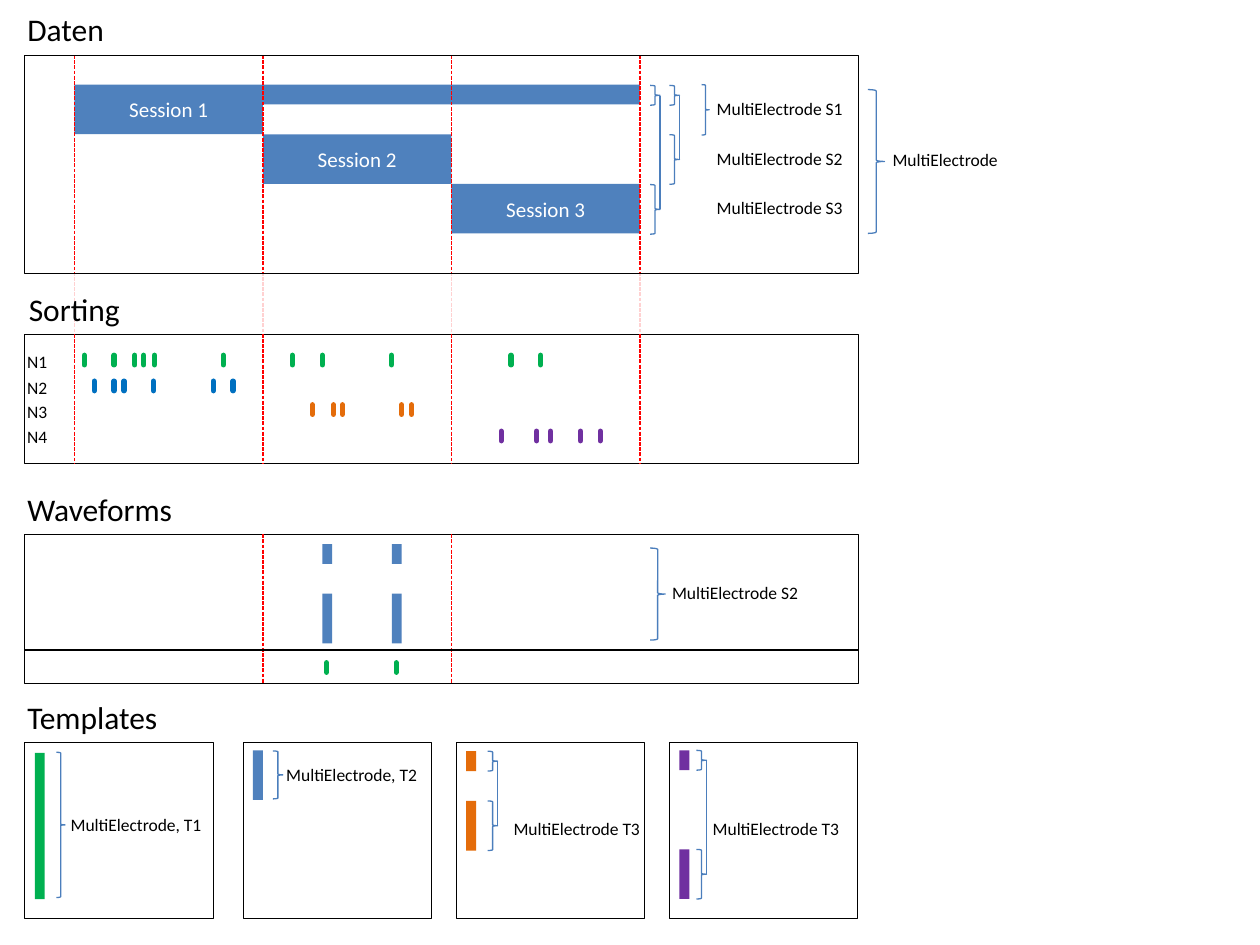
from lxml import etree
from pptx import Presentation
from pptx.dml.color import RGBColor
from pptx.enum.dml import MSO_LINE
from pptx.enum.shapes import MSO_CONNECTOR, MSO_SHAPE
from pptx.enum.text import MSO_ANCHOR, MSO_AUTO_SIZE, PP_ALIGN
from pptx.oxml.ns import qn
from pptx.util import Pt

RECT, BRACE = MSO_SHAPE.RECTANGLE, MSO_SHAPE.RIGHT_BRACE
STRAIGHT = MSO_CONNECTOR.STRAIGHT
DASH = MSO_LINE.SQUARE_DOT
FONT = "Calibri"

BLACK = RGBColor(0x00, 0x00, 0x00)
WHITE = RGBColor(0xFF, 0xFF, 0xFF)
RED = RGBColor(0xFF, 0x00, 0x00)
STEEL = RGBColor(0x4F, 0x81, 0xBD)
BRACE_BLUE = RGBColor(0x4B, 0x7E, 0xBC)
GREEN = RGBColor(0x00, 0xB0, 0x50)
BLUE = RGBColor(0x00, 0x70, 0xC0)
ORANGE = RGBColor(0xE4, 0x6C, 0x0A)
PURPLE = RGBColor(0x70, 0x30, 0xA0)

# Shared grid, in points
LEFT, WIDTH = 14.17, 476.2
SESSION_X, SESSION_W = 42.52, 107.72
SESSION_Y, SESSION_H = 48.4, 28.35
STRIP_H, BAR_W, TICK_H = 11.34, 5.67, 5.5
DATA_Y, DATA_H = 31.5, 124.7
SORTING_Y, SORTING_H = 191.3, 73.4
WAVES_Y, WAVES_H = 305.3, 85.1
TEMPLATES_Y, TEMPLATES_H = 424, 100.8

# Text, left, top, width
HEADINGS = [
    ("Daten", 8.5, 2.4, 59),
    ("Sorting", 9.4, 162.2, 67),
    ("Waveforms", 8.5, 276.4, 98),
    ("Templates", 8.5, 395.2, 90),
]
SESSIONS = ["Session 1", "Session 2", "Session 3"]
ELECTRODES = [
    ("MultiElectrode S1", 402.5, 52.6, 88),
    ("MultiElectrode S2", 402.5, 80.9, 88),
    ("MultiElectrode S3", 402.5, 109.2, 88),
    ("MultiElectrode", 503, 81.9, 78),
    ("MultiElectrode S2", 377, 329.3, 88),
    ("MultiElectrode, T1", 33.3, 461.8, 91),
    ("MultiElectrode, T2", 156.5, 433, 91),
    ("MultiElectrode T3", 286.4, 464.1, 88),
    ("MultiElectrode T3", 400.2, 464.1, 88),
]

# Neuron, colour, label top, spike top, spike times
NEURONS = [
    ("N1", GREEN, 197.3, 203, [48.2, 65.2, 77, 82.1, 88.3, 127.6, 167.1, 184.2, 223.7, 292, 308.9]),
    ("N2", BLUE, 211.7, 217.8, [53.9, 65.2, 70.9, 87.7, 121.9, 133.2]),
    ("N3", ORANGE, 225.4, 231.3, [178.5, 190.6, 195.7, 229.5, 235.2]),
    ("N4", PURPLE, 239.8, 246.4, [286.4, 306.7, 314.6, 331.7, 343]),
]
# Waveform bar left, spike position
WAVES = [(184.2, 186.6), (223.9, 226.4)]

TEMPLATE_LEFTS = [LEFT, 138.9, 260.7, 382.6]
# Colour, left, top, height
TEMPLATE_BARS = [
    (GREEN, 19.9, 430.2, 83.6),
    (STEEL, 144.6, 428.8, SESSION_H),
    (ORANGE, 266.4, 429.3, STRIP_H),
    (ORANGE, 266.4, 457.7, SESSION_H),
    (PURPLE, 388.3, 428.8, STRIP_H),
    (PURPLE, 388.3, 485.4, SESSION_H),
]
# Left, top, width, height
BRACES = [
    (401, 48.4, 4.3, 28.8),
    (382.6, 77, 5.67, SESSION_H),
    (371.5, 105.5, 5.67, SESSION_H),
    (382.6, 48.8, 5.67, STRIP_H),
    (371.5, 48.8, 5.67, STRIP_H),
    (496, 51.2, 9.4, 82.2),
    (371.5, 313.2, 8.6, 52.6),
    (32.2, 429.9, 5, 83),
    (156, 429.1, 5.67, 27.4),
    (278.7, 429.3, 5.67, STRIP_H),
    (278.7, 457.7, 5.67, SESSION_H),
    (398, 428.8, 5.67, STRIP_H),
    (398, 485.4, 5.67, SESSION_H),
]
# x, top, bottom: each joins the tips of two braces
BRACE_LINKS = [
    (388.3, 54.6, 91.3),
    (377.2, 54.6, 119.7),
    (284.4, 435, 471.9),
    (403.7, 434.4, 499.6),
]

prs = Presentation()
prs.slide_width, prs.slide_height = Pt(720), Pt(540)
shapes = prs.slides.add_slide(prs.slide_layouts[6]).shapes


def write(frame, text, size, color):
    paragraph = frame.paragraphs[0]
    run = paragraph.add_run()
    run.text = text
    run.font.name, run.font.size = FONT, Pt(size)
    run.font.color.rgb = color
    return paragraph


def shape(kind, x, y, w, h, fill=None, line=None, weight=0.75):
    item = shapes.add_shape(kind, Pt(x), Pt(y), Pt(w), Pt(h))
    item.shadow.inherit = False
    if fill is None:
        item.fill.background()
    else:
        item.fill.solid()
        item.fill.fore_color.rgb = fill
    if line is None:
        item.line.fill.background()
    else:
        item.line.color.rgb, item.line.width = line, Pt(weight)
    return item


def panel(x, y, w, h):
    shape(RECT, x, y, w, h, line=BLACK, weight=0.5)


def line(x1, y1, x2, y2, color, weight=0.75, dash=None, cap=None):
    item = shapes.add_connector(STRAIGHT, Pt(x1), Pt(y1), Pt(x2), Pt(y2))
    item.line.color.rgb, item.line.width = color, Pt(weight)
    if dash:
        item.line.dash_style = dash
    if cap:
        item.line._get_or_add_ln().set("cap", cap)
    etree.SubElement(item._element.spPr, qn("a:effectLst"))


def spike(x, y, color):
    line(x, y, x, y + TICK_H, color, weight=3, cap="rnd")


def label(text, x, y, w, size=10, wrap=False):
    box = shapes.add_textbox(Pt(x), Pt(y), Pt(w), Pt(29 if size == 18 else 19.4))
    frame = box.text_frame
    frame.word_wrap = wrap
    frame.auto_size = MSO_AUTO_SIZE.SHAPE_TO_FIT_TEXT
    write(frame, text, size, BLACK)


# Recording sessions
bounds = [SESSION_X + i * SESSION_W for i in range(len(SESSIONS) + 1)]
for i, name in enumerate(SESSIONS):
    session = shape(RECT, bounds[i], SESSION_Y + i * SESSION_H, SESSION_W, SESSION_H, STEEL)
    session.text_frame.vertical_anchor = MSO_ANCHOR.MIDDLE
    write(session.text_frame, name, 12, WHITE).alignment = PP_ALIGN.CENTER
shape(RECT, bounds[1], SESSION_Y, 2 * SESSION_W, STRIP_H, STEEL)

# Session borders, faded between the two upper panels
panel(LEFT, SORTING_Y, WIDTH, SORTING_H)
for x in bounds:
    line(x, DATA_Y, x, SORTING_Y + SORTING_H, RED, dash=DASH)
data_bottom = DATA_Y + DATA_H
veil = shape(RECT, LEFT, data_bottom, WIDTH, SORTING_Y - data_bottom - 0.5, WHITE)
veil_color = veil.fill._xPr.find(qn("a:solidFill"))[0]
etree.SubElement(veil_color, qn("a:alpha")).set("val", "82000")
panel(LEFT, DATA_Y, WIDTH, DATA_H)

# Sorted spikes
for name, color, label_y, spike_y, times in NEURONS:
    label(name, 8.5, label_y, 28.3, wrap=True)
    for x in times:
        spike(x, spike_y, color)

# Waveforms
panel(LEFT, WAVES_Y, WIDTH, WAVES_H)
for x in bounds[1:3]:
    line(x, WAVES_Y, x, WAVES_Y + WAVES_H, RED, dash=DASH)
line(LEFT, 371.5, LEFT + WIDTH, 371.5, BLACK)
for bar_x, spike_x in WAVES:
    shape(RECT, bar_x, 311, BAR_W, STRIP_H, STEEL)
    shape(RECT, bar_x, 339.3, BAR_W, SESSION_H, STEEL)
    spike(spike_x, 378.7, GREEN)

# Templates
for x in TEMPLATE_LEFTS:
    panel(x, TEMPLATES_Y, SESSION_W, TEMPLATES_H)
for color, x, y, h in TEMPLATE_BARS:
    shape(RECT, x, y, BAR_W, h, color)

for brace in BRACES:
    shape(BRACE, *brace, line=BRACE_BLUE)
for x, top, bottom in BRACE_LINKS:
    line(x, top, x, bottom, BRACE_BLUE)
for heading in HEADINGS:
    label(*heading, size=18)
for electrode in ELECTRODES:
    label(*electrode)

prs.save("out.pptx")
